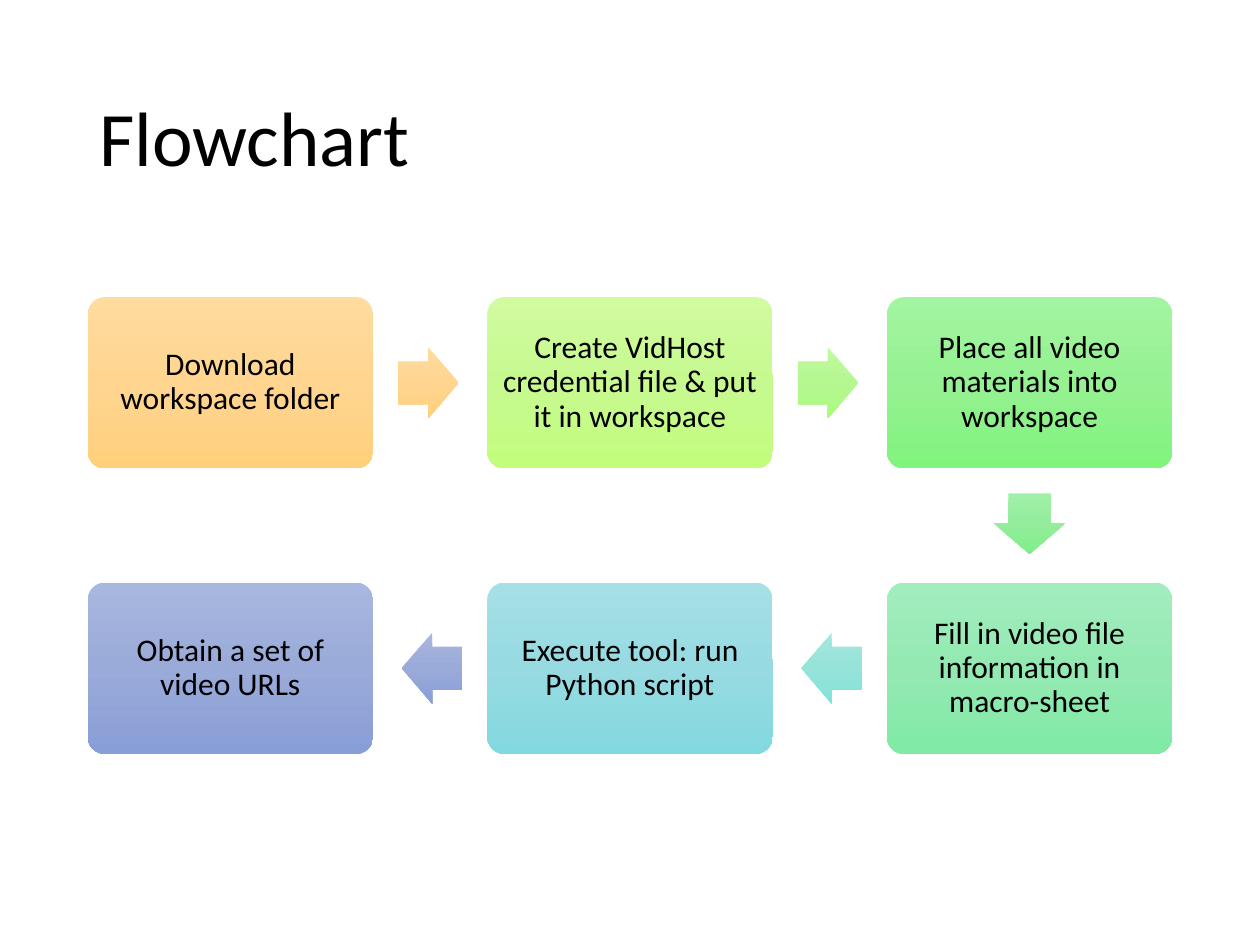
from dataclasses import dataclass

from lxml import etree
from pptx import Presentation
from pptx.dml.color import RGBColor
from pptx.enum.shapes import MSO_SHAPE
from pptx.enum.text import MSO_ANCHOR, MSO_AUTO_SIZE, PP_ALIGN
from pptx.oxml.ns import qn
from pptx.util import Pt

ROUNDED, ARROW = MSO_SHAPE.ROUNDED_RECTANGLE, MSO_SHAPE.RIGHT_ARROW
MIDDLE, NO_FIT = MSO_ANCHOR.MIDDLE, MSO_AUTO_SIZE.NONE
LEFT, CENTER = PP_ALIGN.LEFT, PP_ALIGN.CENTER
TITLE_ONLY = 5


@dataclass(frozen=True)
class Theme:
    font: str = "Calibri"
    ink: RGBColor = RGBColor(0, 0, 0)
    title_size: int = 44
    step_size: int = 18
    line_spacing: float = 0.9


THEME = Theme()

# Each step: column, row, text, gradient from top to bottom
STEPS = [
    (0, 0, "Download workspace folder", ("FFDB9E", "FFD590", "FFD07C")),
    (1, 0, "Create VidHost credential file & put it in workspace",
     ("D0FB9F", "C7F991", "C2FE7C")),
    (2, 0, "Place all video materials into workspace",
     ("A3F4A0", "95F192", "81F47E")),
    (2, 1, "Fill in video file information in macro-sheet",
     ("A2EDBD", "94E9B2", "80EAA6")),
    (1, 1, "Execute tool: run Python script", ("A5E0E6", "97DAE1", "83D9E0")),
    (0, 1, "Obtain a set of video URLs", ("A8B7DF", "9AABD9", "889ED7")),
]
# One gradient for each arrow between successive steps
ARROW_COLORS = [
    ("FFDB9E", "FFD590", "FFD07C"),
    ("C0F99F", "B5F791", "ABFB7D"),
    ("A1F0A9", "93ED9B", "7FEF89"),
    ("A4E7E0", "96E3DA", "82E3D9"),
    ("A8B7DF", "9AABD9", "889ED7"),
]
# Direction of travel (columns, rows) to arrow rotation
ROTATIONS = {(1, 0): 0, (0, 1): 90, (-1, 0): 180}


def write_text(frame, text, size, align):
    frame.word_wrap = True
    frame.auto_size = NO_FIT
    frame.vertical_anchor = MIDDLE
    para = frame.paragraphs[0]
    para.alignment = align
    para.line_spacing = THEME.line_spacing
    span = para.add_run()
    span.text = text
    span.font.name = THEME.font
    span.font.size = Pt(size)
    span.font.color.rgb = THEME.ink


def paint_gradient(shape, colors):
    """Fill from top to bottom, whatever the rotation of the shape."""
    shape.fill.gradient()
    shape.fill.gradient_angle = 270
    gradient = shape.fill._xPr.find(qn("a:gradFill"))
    gradient.set("rotWithShape", "0")
    stops = gradient.find(qn("a:gsLst"))
    for stop in list(stops):
        stops.remove(stop)
    for index, color in enumerate(colors):
        position = str(100000 * index // (len(colors) - 1))
        stop = etree.SubElement(stops, qn("a:gs"), pos=position)
        etree.SubElement(stop, qn("a:srgbClr"), val=color)


def add_filled(page, kind, left, top, width, height, colors):
    shape = page.shapes.add_shape(kind, Pt(left), Pt(top), Pt(width), Pt(height))
    shape.shadow.inherit = False
    shape.line.fill.background()
    paint_gradient(shape, colors)
    return shape


def place_title(page, text, left, top, width, height):
    title = page.shapes.title
    title.left, title.top = Pt(left), Pt(top)
    title.width, title.height = Pt(width), Pt(height)
    write_text(title.text_frame, text, THEME.title_size, LEFT)


def add_step(page, text, colors, left, top, width, height):
    box = add_filled(page, ROUNDED, left, top, width, height, colors)
    box.adjustments[0] = 0.1
    frame = box.text_frame
    frame.margin_left = frame.margin_right = Pt(5)
    frame.margin_top = frame.margin_bottom = Pt(5)
    write_text(frame, text, THEME.step_size, CENTER)


def add_flow(page, left, top, width, height):
    # Three columns and two rows, with the same gap both ways
    gap = 65.2
    box_width, box_height = (width - 2 * gap) / 3, (height - gap) / 2
    arrow_length, arrow_breadth, lead = 34.6, 40.5, 14.2

    for index, (column, row, text, colors) in enumerate(STEPS):
        box_left = left + column * (box_width + gap)
        box_top = top + row * (box_height + gap)
        add_step(page, text, colors, box_left, box_top, box_width, box_height)
        if index == len(STEPS) - 1:
            continue

        # Arrow towards the next step, starting just outside this box
        next_column, next_row = STEPS[index + 1][:2]
        across, down = next_column - column, next_row - row
        reach = lead + arrow_length / 2
        center_x = box_left + box_width / 2 + across * (box_width / 2 + reach)
        center_y = box_top + box_height / 2 + down * (box_height / 2 + reach)
        arrow = add_filled(page, ARROW, center_x - arrow_length / 2,
                           center_y - arrow_breadth / 2,
                           arrow_length, arrow_breadth, ARROW_COLORS[index])
        arrow.adjustments[0], arrow.adjustments[1] = 0.6, 0.5
        arrow.rotation = ROTATIONS[across, down]


def main():
    deck = Presentation()
    deck.slide_width, deck.slide_height = Pt(720), Pt(540)
    page = deck.slides.add_slide(deck.slide_layouts[TITLE_ONLY])
    place_title(page, "Flowchart", 49.5, 28.75, 621, 104.4)
    add_flow(page, 50.1, 169.8, 619.8, 261)
    deck.save("out.pptx")


if __name__ == "__main__":
    main()
